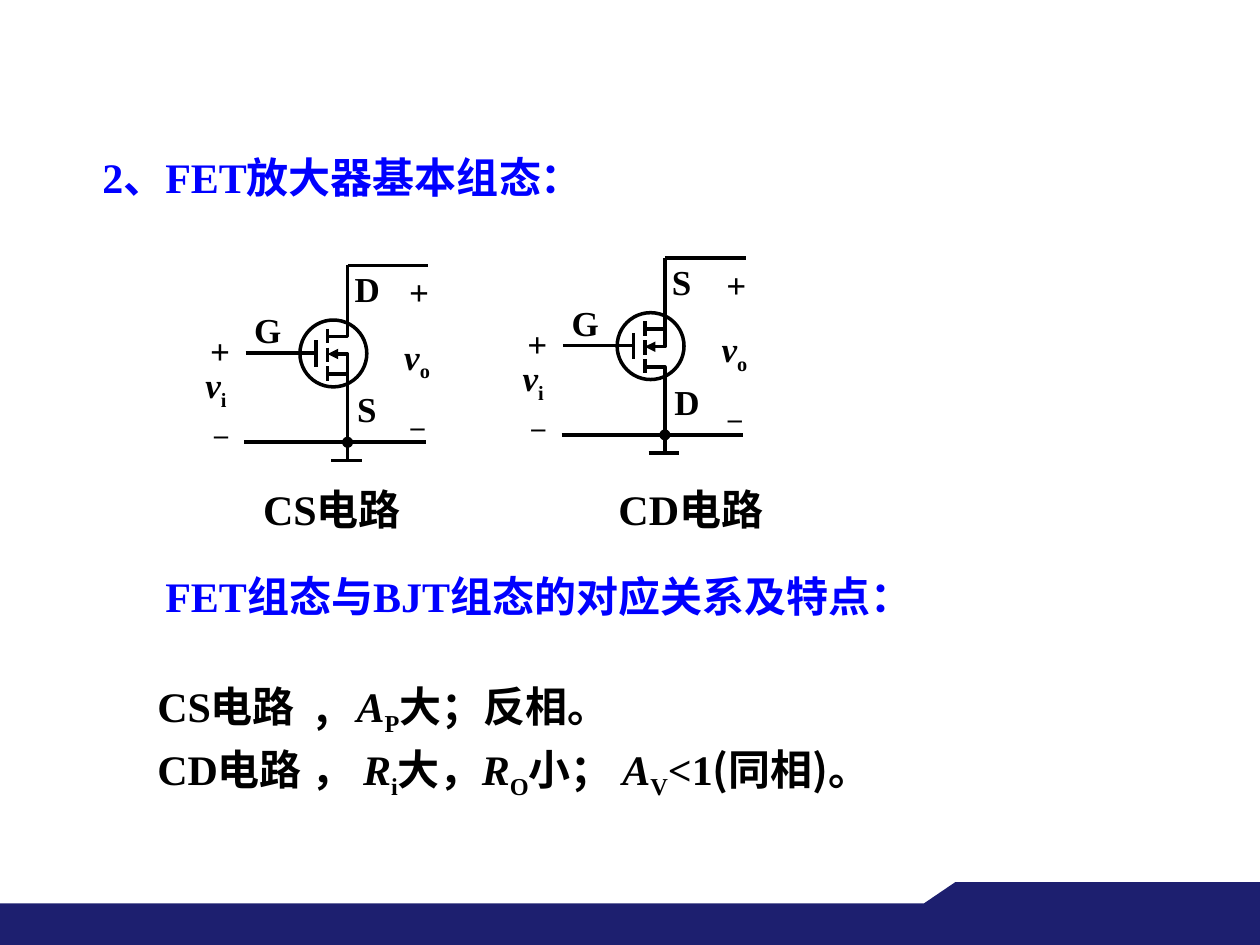
from lxml import etree
from pptx import Presentation
from pptx.dml.color import RGBColor
from pptx.enum.shapes import MSO_CONNECTOR, MSO_SHAPE
from pptx.enum.text import MSO_AUTO_SIZE
from pptx.oxml.ns import qn
from pptx.util import Pt

BLACK = RGBColor(0, 0, 0)
BLUE = RGBColor(0, 0, 255)
NAVY = RGBColor(0x1D, 0x1F, 0x6F)
SERIF = "Times New Roman"
SANS = "Noto Sans CJK SC"
OVAL = MSO_SHAPE.OVAL
RECT = MSO_SHAPE.RECTANGLE
STRAIGHT = MSO_CONNECTOR.STRAIGHT
FIXED = MSO_AUTO_SIZE.NONE
ITALIC = {"italic": True}
SUB = {"base": -25}


def put_text(slide, box, runs, size=24, color=BLACK, wrap=True):
    """Place one line of bold text made of (text, format) runs."""
    shape = slide.shapes.add_textbox(*map(Pt, box))
    frame = shape.text_frame
    frame.auto_size = FIXED
    frame.word_wrap = wrap
    for text, form in runs:
        run = frame.paragraphs[0].add_run()
        run.text = text
        font = run.font
        font.size, font.bold = Pt(size), True
        font.italic = form.get("italic", False)
        font.name = form.get("face", SERIF)
        font.color.rgb = color
        props = run._r.get_or_add_rPr()
        etree.SubElement(props, qn("a:ea"), typeface=SANS)
        if "base" in form:
            props.set("baseline", str(form["base"] * 1000))
        if "gap" in form:
            props.set("spc", str(form["gap"] * 100))


def style(shape, fill=None, line=BLACK):
    """Set the fill and outline of a shape and drop its shadow."""
    shape.shadow.inherit = False
    if fill is None:
        shape.fill.background()
    else:
        shape.fill.solid()
        shape.fill.fore_color.rgb = fill
    if line is None:
        shape.line.fill.background()
    else:
        shape.line.color.rgb = line
        shape.line.width = Pt(2)


def put_path(slide, points, close=False):
    """Build an outline through points."""
    spots = [(Pt(x), Pt(y)) for x, y in points]
    pen = slide.shapes.build_freeform(*spots[0])
    pen.add_line_segments(spots[1:], close=close)
    return pen.convert_to_shape()


def put_line(slide, x1, y1, x2, y2):
    """Draw a straight black wire."""
    wire = slide.shapes.add_connector(STRAIGHT, Pt(x1), Pt(y1), Pt(x2), Pt(y2))
    wire.line.color.rgb = BLACK
    wire.line.width = Pt(2)
    etree.SubElement(wire._element.spPr, qn("a:effectLst"))


def put_disc(slide, x, y, size, fill=None):
    """Draw a circle from its top left corner."""
    disc = slide.shapes.add_shape(OVAL, Pt(x), Pt(y), Pt(size), Pt(size))
    style(disc, fill)


def draw_circuit(slide, left, top, upper, lower, down):
    """Draw a transistor stage; down sends the arrow lead to ground."""
    chan, stem, gate = 77.2, 88.6, 70.7
    high, mid, low = 42.2, 52.3, 63.8
    roof, base, earth = 1.6, 102.7, 113.2
    wires = [
        (30.4, 51.6, gate, 51.6), (gate, 44.4, gate, 59.5),
        (29.7, base, 133.4, base), (79.4, earth, 96.6, earth),
        (stem, roof, 134.8, roof),
    ]
    wires += [(chan, y, chan, y + 8.2) for y in (37.9, 48.6, 59.3)]
    stub = low if down else high
    wires.append((chan, stub, stem, stub))
    for x1, y1, x2, y2 in wires:
        put_line(slide, left + x1, top + y1, left + x2, top + y2)

    put_disc(slide, left + 61.4, top + 32.9, 38.2)
    put_disc(slide, left + 86.5, top + 100.6, 4.3, BLACK)

    plain, arrow = (high, roof), (mid, earth)
    if not down:
        plain, arrow = (low, earth), (mid, roof)
    for start, end in (plain, arrow):
        lead = put_path(slide, [(left + chan, top + start),
                                (left + stem, top + start),
                                (left + stem, top + end)])
        style(lead)
        if start == mid:
            line = lead._element.spPr.find(qn("a:ln"))
            etree.SubElement(line, qn("a:headEnd"), type="triangle")

    widths = {"D": 28.8, "S": 26, "G": 35.3, "+": 26, "–": 22.3}
    marks = [
        (upper, 85.6, -0.5), (lower, 87, 68), ("G", 28.2, 22.9),
        ("+", 3, 35), ("+", 116.7, 1.2), ("–", 5.2, 84.7), ("–", 117.5, 79.8),
    ]
    for text, x, y in marks:
        size = 16 if text == "–" else 20
        put_text(slide, (left + x, top + y, widths[text], size + 11),
                 [(text, {})], size=size, wrap=False)
    for text, x, y, width in (("i", 0.2, 54.4, 27.4), ("o", 113.9, 37.9, 29.5)):
        put_text(slide, (left + x, top + y, width, 31),
                 [("v", ITALIC), (text, SUB)], size=20, wrap=False)


def draw_foot(slide, left, top, width, height):
    """Draw the navy footer band with its raised right end."""
    step, start, right = 12.2, left + 528, left + width
    band = slide.shapes.add_shape(RECT, Pt(left), Pt(top + step),
                                  Pt(width), Pt(height - step))
    tab = put_path(slide, [(start, top + step), (start + 18, top),
                           (right, top), (right, top + 18),
                           (start, top + 18)], close=True)
    for part in (band, tab):
        style(part, NAVY, None)


def draw_notes(slide, left, top, width):
    """Write the two lines that compare the stages."""
    sans = {"face": SANS}
    rows = [
        [("CS电路", {}), (" ", {"gap": 6}), (",", sans), (" ", {"gap": 10}),
         ("A", ITALIC), ("P", SUB), ("大；反相。", {})],
        [("CD电路 ， ", {}), ("R", ITALIC), ("i", SUB), ("大，", {}),
         ("R", ITALIC), ("O", SUB), ("小； ", {}), ("A", ITALIC),
         ("V", SUB), ("<1", {}), ("(同相)。", sans)],
    ]
    for i, runs in enumerate(rows):
        put_text(slide, (left, top + 36 * i, width, 36), runs)


def main():
    """Build the slide and save it."""
    deck = Presentation()
    deck.slide_width, deck.slide_height = Pt(720), Pt(540)
    slide = deck.slides.add_slide(deck.slide_layouts[6])
    draw_foot(slide, 0, 504, 720, 36)
    put_text(slide, (51.4, 82.8, 333, 36),
             [("2、FET放大器基本组态：", {})], color=BLUE)
    put_text(slide, (87.4, 322.6, 475, 36),
             [("FET", {}), ("组态与", {"face": SANS}), ("BJT", {}),
              ("组态的对应关系及特点：", {"face": SANS})], color=BLUE)
    for text, x in (("CS电路", 143.3), ("CD电路", 346.3)):
        put_text(slide, (x, 272.9, 121.7, 36), [(text, {})])
    draw_notes(slide, 82.8, 385.2, 577)
    draw_circuit(slide, 110, 150, "D", "S", True)
    draw_circuit(slide, 291.3, 145.8, "S", "D", False)
    deck.save("out.pptx")


if __name__ == "__main__":
    main()
